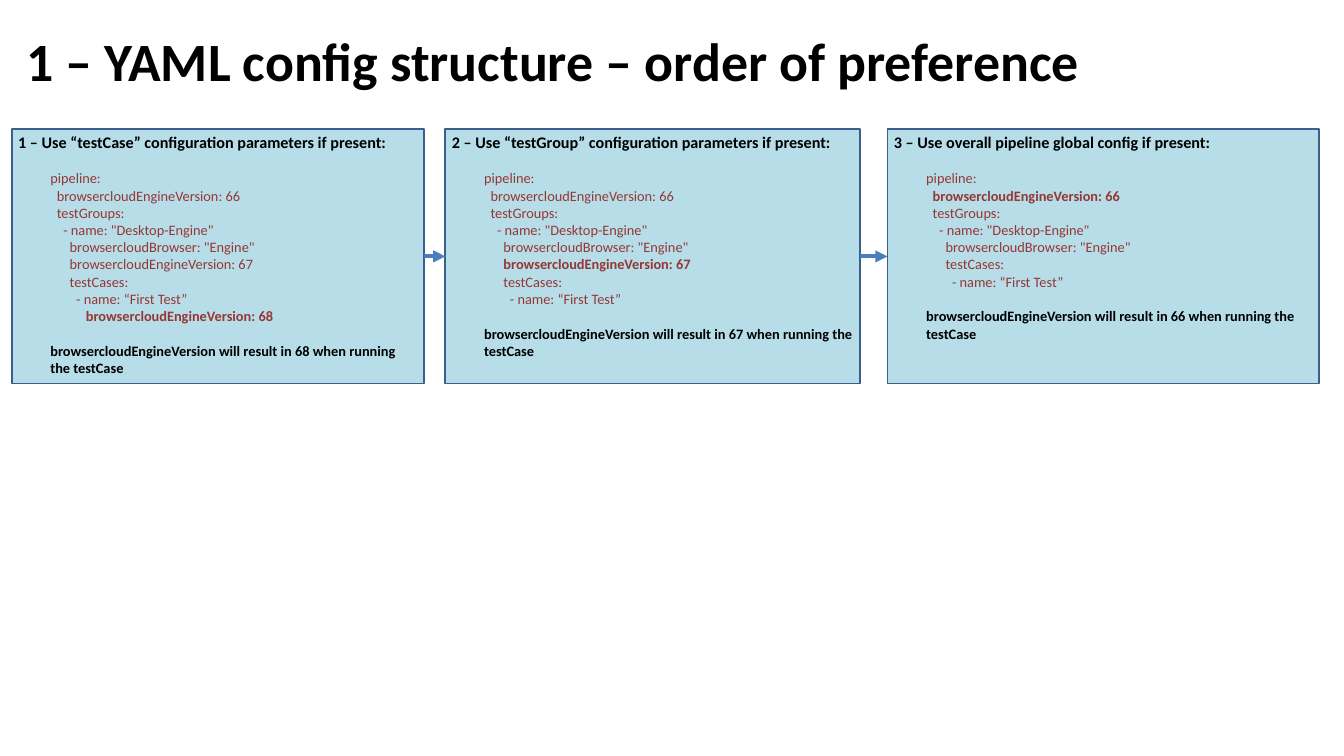
from dataclasses import dataclass

from pptx import Presentation
from pptx import util as u
from pptx.dml.color import RGBColor
from pptx.enum import shapes, text
from pptx.oxml.ns import qn
from lxml import etree


@dataclass(frozen=True)
class Theme:
    font: str = "Calibri"
    ink: str = "000000"
    code: str = "953735"
    panel: str = "B7DEE8"
    border: str = "3A5F8C"
    arrow: str = "4B7EBC"
    title_size: int = 60
    heading_size: int = 18
    body_size: int = 16
    line_gap: float = 19.5


THEME = Theme()
WIDTH, HEIGHT = u.Inches(20.79), u.Inches(11.69)
BODY_INDENT, CODE_STEP = 0.5, 0.1  # inches
PANEL_TOP, PANEL_HEIGHT = 17.11, 33.62  # percent of slide height
LEFT_SITE, RIGHT_SITE = 1, 3

TITLE = "1 – YAML config structure – order of preference"
KEY = "browsercloudEngineVersion"

# Heading, left and width in percent of slide width, the versions set at
# pipeline, group and case level; the last one set takes effect
STEPS = [
    ("1 – Use “testCase” configuration parameters if present:", 0.87, 30.69, (66, 67, 68)),
    ("2 – Use “testGroup” configuration parameters if present:", 33.14, 30.88, (66, 67)),
    ("3 – Use overall pipeline global config if present:", 66.04, 32.08, (66,)),
]


def rgb(value):
    return RGBColor.from_string(value)


def share(left, top, width, height):
    """Turn percentages of the slide into a position and a size."""
    return (round(WIDTH * left / 100), round(HEIGHT * top / 100),
            round(WIDTH * width / 100), round(HEIGHT * height / 100))


def write(paragraph, words, size=THEME.body_size, color=THEME.ink, bold=False,
          indent=0, before=0):
    paragraph.alignment = text.PP_ALIGN.LEFT
    paragraph.space_before = u.Pt(before)
    if indent:
        paragraph.level = 1
        properties = paragraph._p.get_or_add_pPr()
        properties.set("marL", str(u.Inches(indent)))
        properties.set("indent", "0")
    run = paragraph.add_run()
    run.text = words
    run.font.name = THEME.font
    run.font.size = u.Pt(size)
    run.font.bold = bold
    run.font.color.rgb = rgb(color)


def yaml_lines(versions):
    """List each line of the config with its nesting depth."""
    settings = [f"{KEY}: {version}" for version in versions]
    lines = [(0, "pipeline:"), (1, settings[0]), (1, "testGroups:"),
             (2, '- name: "Desktop-Engine"'), (3, 'browsercloudBrowser: "Engine"')]
    lines += [(3, setting) for setting in settings[1:2]]
    lines += [(3, "testCases:"), (4, "- name: “First Test”")]
    lines += [(5.5, setting) for setting in settings[2:]]
    return lines


def add_title(slide):
    title = slide.shapes.title
    title.left, title.top, title.width, title.height = share(1.49, 2.57, 96.58, 10.69)
    title.text_frame.vertical_anchor = text.MSO_ANCHOR.MIDDLE
    write(title.text_frame.paragraphs[0], TITLE, size=THEME.title_size, bold=True)


def add_step(slide, heading, left, width, versions):
    panel = slide.shapes.add_shape(shapes.MSO_SHAPE.RECTANGLE,
                                   *share(left, PANEL_TOP, width, PANEL_HEIGHT))
    panel.shadow.inherit = False
    panel.fill.solid()
    panel.fill.fore_color.rgb = rgb(THEME.panel)
    panel.line.color.rgb = rgb(THEME.border)
    panel.line.width = u.Pt(2)
    frame = panel.text_frame
    frame.word_wrap = True
    frame.vertical_anchor = text.MSO_ANCHOR.TOP

    # Heading, config with the winning setting in bold, then the outcome
    write(frame.paragraphs[0], heading, size=THEME.heading_size, bold=True)
    winner = f"{KEY}: {versions[-1]}"
    for depth, line in yaml_lines(versions):
        write(frame.add_paragraph(), line, color=THEME.code, bold=line == winner,
              indent=BODY_INDENT + depth * CODE_STEP,
              before=0 if depth else THEME.line_gap)
    write(frame.add_paragraph(),
          f"{KEY} will result in {versions[-1]} when running the testCase",
          bold=True, indent=BODY_INDENT, before=THEME.line_gap)
    return panel


def add_arrow(slide, source, target):
    arrow = slide.shapes.add_connector(shapes.MSO_CONNECTOR.ELBOW, 0, 0, 0, 0)
    arrow.begin_connect(source, RIGHT_SITE)
    arrow.end_connect(target, LEFT_SITE)
    arrow.line.color.rgb = rgb(THEME.arrow)
    arrow.line.width = u.Pt(4.5)
    etree.SubElement(arrow.line._get_or_add_ln(), qn("a:tailEnd"), type="triangle")
    etree.SubElement(arrow._element.spPr, qn("a:effectLst"))


def main():
    deck = Presentation()
    deck.slide_width, deck.slide_height = WIDTH, HEIGHT
    title_only = deck.slide_layouts[5]
    slide = deck.slides.add_slide(title_only)

    add_title(slide)
    panels = [add_step(slide, *step) for step in STEPS]
    for source, target in zip(panels, panels[1:]):
        add_arrow(slide, source, target)

    deck.save("out.pptx")


main()
